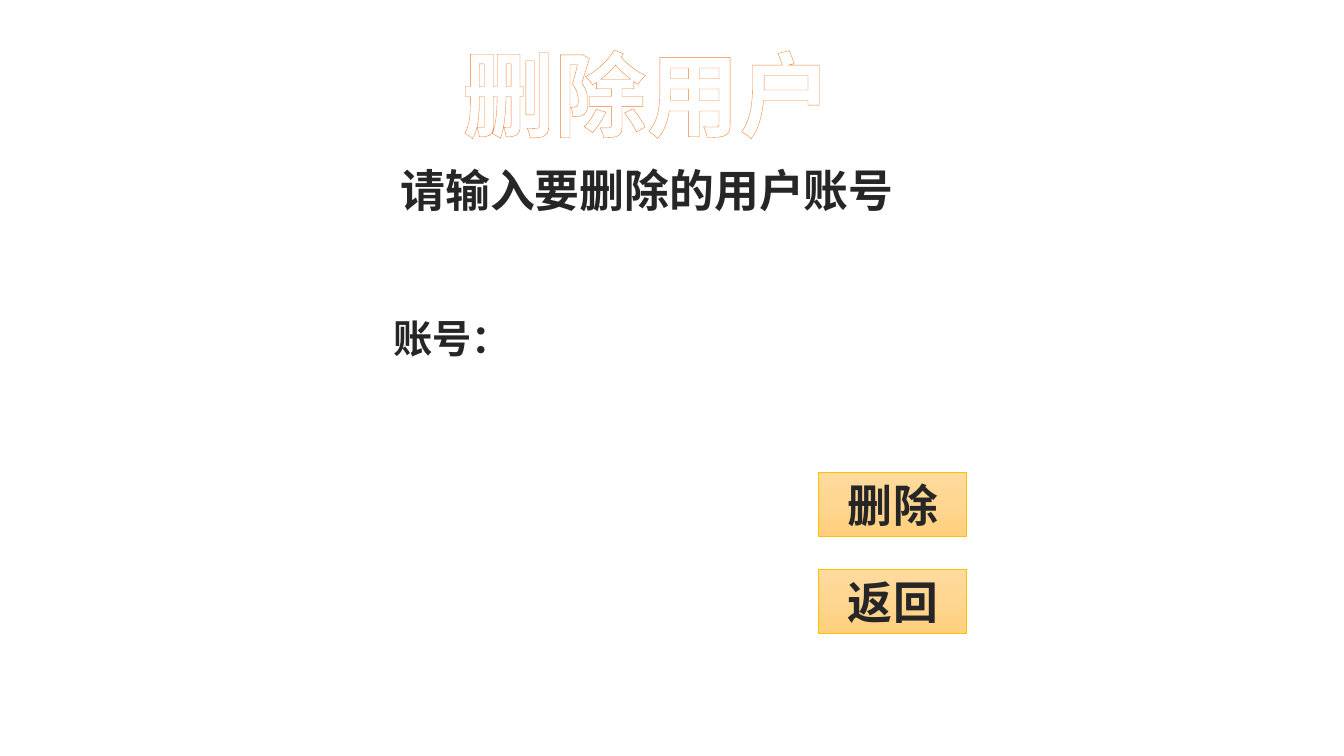
from copy import deepcopy
from dataclasses import dataclass

from lxml.etree import SubElement
from pptx import Presentation
from pptx.dml.color import RGBColor
from pptx.enum.shapes import MSO_SHAPE
from pptx.enum.text import MSO_ANCHOR, MSO_AUTO_SIZE, PP_ALIGN
from pptx.oxml.ns import qn
from pptx.shapes.autoshape import Shape
from pptx.slide import Slide
from pptx.util import Inches, Pt

FONT = "Noto Sans CJK SC"
WHITE = RGBColor(0xFF, 0xFF, 0xFF)
ORANGE = RGBColor(0xED, 0x7D, 0x31)
DARK = RGBColor(0x26, 0x26, 0x26)
GOLD = RGBColor(0xFF, 0xC0, 0x00)
BUTTON_TOP = RGBColor(0xFF, 0xDB, 0x9E)
BUTTON_MIDDLE = RGBColor(0xFF, 0xD5, 0x90)
BUTTON_BOTTOM = RGBColor(0xFF, 0xD0, 0x7C)

LABEL_LEFT = 2.84
BUTTON_LEFT, BUTTON_FIRST_TOP, BUTTON_PITCH = 8.12, 4.69, 0.96
BUTTON_WIDTH, BUTTON_HEIGHT = 1.47, 0.63
LABEL_FRAME = {
    "word_wrap": True,
    "auto_size": MSO_AUTO_SIZE.SHAPE_TO_FIT_TEXT,
    "vertical_anchor": MSO_ANCHOR.TOP,
}
BUTTON_FRAME = {"word_wrap": True, "vertical_anchor": MSO_ANCHOR.MIDDLE}


@dataclass(frozen=True)
class TextStyle:
    size: float
    color: RGBColor = DARK
    outline: RGBColor = WHITE
    outline_width: float = 1.06
    spacing: float = 0


@dataclass(frozen=True)
class Label:
    text: str
    left: float
    top: float
    width: float
    height: float
    style: TextStyle


TITLE = Label("删除用户", 3.08, 0.32, 6.67, 1.21, TextStyle(66, WHITE, ORANGE, 0.52))
LABELS = [
    Label("账号：", LABEL_LEFT, 3.07, 3.29, 0.57, TextStyle(28)),
    Label("请输入要删除的用户账号", LABEL_LEFT, 1.57, 7.16, 0.64, TextStyle(32)),
]
BUTTONS = [
    Label(text, BUTTON_LEFT, BUTTON_FIRST_TOP + row * BUTTON_PITCH,
          BUTTON_WIDTH, BUTTON_HEIGHT, TextStyle(32, spacing=0.5))
    for row, text in enumerate(["删除", "返回"])
]


def bounds(label: Label) -> list[int]:
    return [Inches(value) for value in (label.left, label.top, label.width, label.height)]


def write_text(shape: Shape, label: Label, frame_format: dict) -> None:
    style = label.style
    frame = shape.text_frame
    for name, value in frame_format.items():
        setattr(frame, name, value)
    paragraph = frame.paragraphs[0]
    paragraph.alignment = PP_ALIGN.CENTER
    run = paragraph.add_run()
    run.text = label.text
    for name, value in {"size": Pt(style.size), "bold": True, "name": FONT}.items():
        setattr(run.font, name, value)
    run.font.color.rgb = style.color

    properties = run.font._element
    SubElement(properties, qn("a:ea"), typeface=FONT)
    if style.spacing:
        properties.set("spc", str(int(style.spacing * 100)))
    outline = SubElement(properties, qn("a:ln"), w=str(Pt(style.outline_width)))
    fill = SubElement(outline, qn("a:solidFill"))
    SubElement(fill, qn("a:srgbClr"), val=str(style.outline))
    properties.insert(0, outline)


def fill_button(shape: Shape) -> None:
    shape.fill.gradient()
    shape.fill.gradient_angle = 270
    stops = shape.element.spPr.find(qn("a:gradFill")).find(qn("a:gsLst"))
    stops.insert(1, deepcopy(stops[0]))
    colors = [BUTTON_TOP, BUTTON_MIDDLE, BUTTON_BOTTOM]
    for stop, position, color in zip(shape.fill.gradient_stops, [0, 0.5, 1], colors):
        stop.position = position
        stop.color.rgb = color


def draw_title(slide: Slide, label: Label) -> None:
    title = slide.shapes.title
    title.left, title.top, title.width, title.height = bounds(label)
    write_text(title, label, LABEL_FRAME)


def draw_label(slide: Slide, label: Label) -> None:
    write_text(slide.shapes.add_textbox(*bounds(label)), label, LABEL_FRAME)


def draw_button(slide: Slide, label: Label) -> None:
    shape = slide.shapes.add_shape(MSO_SHAPE.RECTANGLE, *bounds(label))
    shape.shadow.inherit = False
    fill_button(shape)
    shape.line.color.rgb = GOLD
    shape.line.width = Pt(0.5)
    write_text(shape, label, BUTTON_FRAME)


def main() -> None:
    presentation = Presentation()
    presentation.slide_width = Inches(13.33)
    presentation.slide_height = Inches(7.5)
    slide = presentation.slides.add_slide(presentation.slide_layouts[5])
    draw_title(slide, TITLE)
    for label in LABELS:
        draw_label(slide, label)
    for button in BUTTONS:
        draw_button(slide, button)
    presentation.save("out.pptx")


if __name__ == "__main__":
    main()
